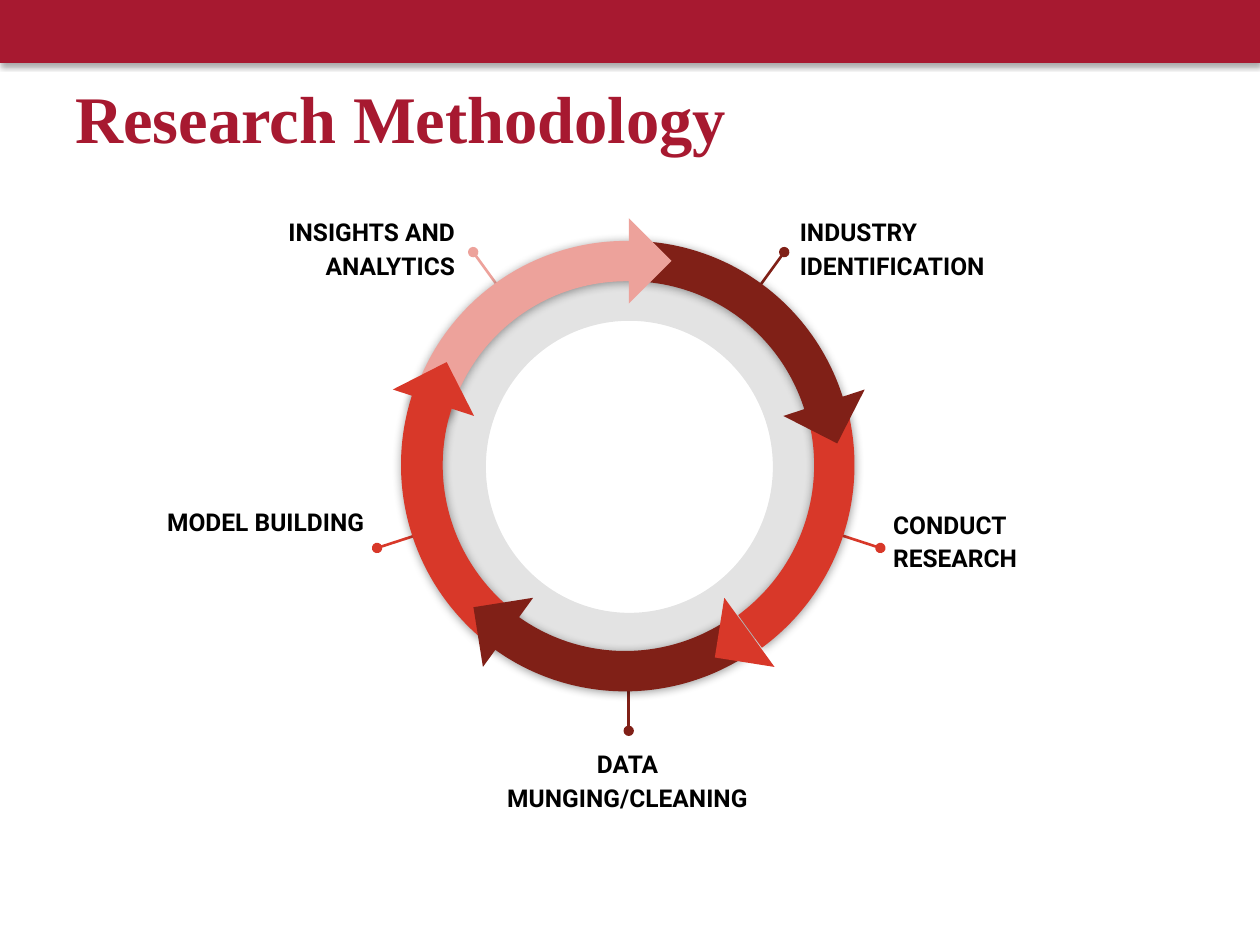
from dataclasses import dataclass
from math import cos, radians, sin

from lxml.etree import SubElement
from pptx import Presentation
from pptx.dml.color import RGBColor
from pptx.enum.shapes import MSO_CONNECTOR as Connector, MSO_SHAPE as Shape
from pptx.enum.text import MSO_ANCHOR as Anchor, PP_ALIGN as Align
from pptx.oxml.ns import qn
from pptx.util import Inches, Pt

CRIMSON = RGBColor(0xA7, 0x19, 0x30)
MAROON = RGBColor(0x80, 0x20, 0x17)
RED = RGBColor(0xD8, 0x38, 0x29)
PINK = RGBColor(0xED, 0xA2, 0x9B)
BLACK = RGBColor(0, 0, 0)

COLUMNS, ROWS = 100, 75
CENTRE = (49.9, 37)
HEAD_RADIUS, LEAD_INNER, LEAD_OUTER = 16.3, 14.8, 21
HEAD_SIZE = 4.8
ARC_TOP, ARC_WIDTH, ARC_HEIGHT = 19.1, 35.6, 35.8
STEP_ANGLE = 72
ARC_SHADOW = (40, 5.6, 0.8)


@dataclass
class Step:
    """One stage of the cycle; order counts clockwise from the top right."""
    order: int
    label: str
    label_box: tuple
    align: Align
    color: RGBColor
    arc_left: float
    rotation: float
    adjustments: tuple
    flipped: bool = False
    outlined: bool = False


# Listed from back to front, so that each arrowhead covers the next arc.
STEPS = [
    Step(0, "INDUSTRY IDENTIFICATION", (62.5, 15.9, 19.7, 8.9), Align.LEFT,
         MAROON, 32.1, 30.3, (144.14, 189.99, 0.09)),
    Step(1, "CONDUCT RESEARCH", (69.9, 39.1, 19.7, 8.9), Align.LEFT,
         RED, 32.2, 210.3, (201.79, 26.24, 0.09), flipped=True),
    Step(4, "INSIGHTS AND ANALYTICS", (17.4, 15.9, 19.7, 8.9), Align.RIGHT,
         PINK, 32, 329.7, (143.34, 188.55, 0.09), flipped=True),
    Step(3, "MODEL BUILDING", (10.2, 38.9, 19.7, 8.9), Align.RIGHT,
         RED, 31.9, 149.7, (201.85, 30.07, 0.09), outlined=True),
    Step(2, "DATA MUNGING/CLEANING", (38.9, 58.1, 21.8, 8.9), Align.CENTER,
         MAROON, 31.9, 210.3, (157.39, 200.08, 0.09), flipped=True),
]


def on_circle(radius, degrees):
    angle = radians(degrees)
    return CENTRE[0] + radius * cos(angle), CENTRE[1] + radius * sin(angle)


class SlideBuilder:
    """Draws on one slide, with lengths in grid columns and rows."""

    def __init__(self, presentation):
        self.column = presentation.slide_width / COLUMNS
        self.row = presentation.slide_height / ROWS
        self.slide = presentation.slides.add_slide(presentation.slide_layouts[6])

    def place(self, *lengths):
        units = (self.column, self.row) * 2
        return [round(length * unit) for length, unit in zip(lengths, units)]

    def shape(self, kind, box, color, rotation=0, adjustments=(), opacity=None):
        item = self.slide.shapes.add_shape(kind, *self.place(*box))
        item.shadow.inherit = False
        item.fill.solid()
        item.fill.fore_color.rgb = color
        item.line.fill.background()
        item.rotation = rotation % 360
        for index, value in enumerate(adjustments):
            item.adjustments[index] = value
        if opacity is not None:
            self.add_alpha(item.fill._xPr.find(f".//{qn('a:srgbClr')}"), opacity)
        return item

    @staticmethod
    def add_alpha(color_element, percent):
        SubElement(color_element, qn("a:alpha"), val=str(percent * 1000))

    def cast_shadow(self, item, opacity, blur, distance):
        """Add a black shadow that falls straight down; lengths in points."""
        effects = item._element.spPr.find(qn("a:effectLst"))
        shadow = SubElement(effects, qn("a:outerShdw"), blurRad=str(Pt(blur)),
                            dist=str(Pt(distance)), dir="5400000",
                            algn="bl", rotWithShape="0")
        self.add_alpha(SubElement(shadow, qn("a:srgbClr"), val=str(BLACK)), opacity)

    def text(self, wording, box, font, size, color, align=Align.LEFT,
             anchor=Anchor.TOP, margin=0.1, spacing=1.0):
        frame = self.slide.shapes.add_textbox(*self.place(*box)).text_frame
        frame.word_wrap = True
        frame.vertical_anchor = anchor
        frame.margin_left = frame.margin_right = Inches(0.1)
        frame.margin_top = frame.margin_bottom = Inches(margin)
        frame.text = wording
        paragraph = frame.paragraphs[0]
        paragraph.alignment = align
        paragraph.line_spacing = spacing
        style = paragraph.runs[0].font
        style.name, style.size, style.bold = font, Pt(size), True
        style.color.rgb = color

    def lead(self, start, end, color):
        """Draw a line with a dot at its start."""
        line = self.slide.shapes.add_connector(
            Connector.STRAIGHT, *self.place(*start, *end))
        line.line.color.rgb = color
        line.line.width = Pt(1.5)
        SubElement(line.line._get_or_add_ln(), qn("a:headEnd"), type="oval")
        SubElement(line._element.spPr, qn("a:effectLst"))

    def arc(self, step):
        box = (step.arc_left, ARC_TOP, ARC_WIDTH, ARC_HEIGHT)
        band = self.shape(Shape.BLOCK_ARC, box, step.color,
                          step.rotation, step.adjustments)
        if step.flipped:
            band._element.spPr.xfrm.set("flipH", "1")
        if step.outlined:
            band.line.color.rgb = step.color
            band.line.width = Pt(0.75)
        self.cast_shadow(band, *ARC_SHADOW)

    def arrowhead(self, step):
        turn = step.order * STEP_ANGLE
        x, y = on_circle(HEAD_RADIUS, turn - 18)
        box = (x - HEAD_SIZE / 2, y - HEAD_SIZE / 2, HEAD_SIZE, HEAD_SIZE)
        self.shape(Shape.RIGHT_TRIANGLE, box, step.color, 297 + turn)

    def label(self, step):
        angle = step.order * STEP_ANGLE - 54
        self.lead(on_circle(LEAD_OUTER, angle), on_circle(LEAD_INNER, angle),
                  step.color)
        self.text(step.label, step.label_box, "Roboto", 14, BLACK,
                  step.align, spacing=1.15)


def main():
    presentation = Presentation()
    presentation.slide_width, presentation.slide_height = Inches(10), Inches(7.5)
    builder = SlideBuilder(presentation)

    banner = builder.shape(Shape.RECTANGLE, (0, 0, COLUMNS, 5), CRIMSON)
    builder.cast_shadow(banner, 35, 3.1, 1.8)
    builder.text("Research Methodology", (5, 3, 90, 12.5), "Times New Roman", 38,
                 CRIMSON, anchor=Anchor.MIDDLE, margin=0.05)
    builder.shape(Shape.DONUT, (33.2, 20.1, 33.5, 33.9), BLACK,
                  adjustments=(0.16,), opacity=11)

    for draw in (builder.label, builder.arc, builder.arrowhead):
        for step in STEPS:
            draw(step)

    presentation.save("out.pptx")


if __name__ == "__main__":
    main()
